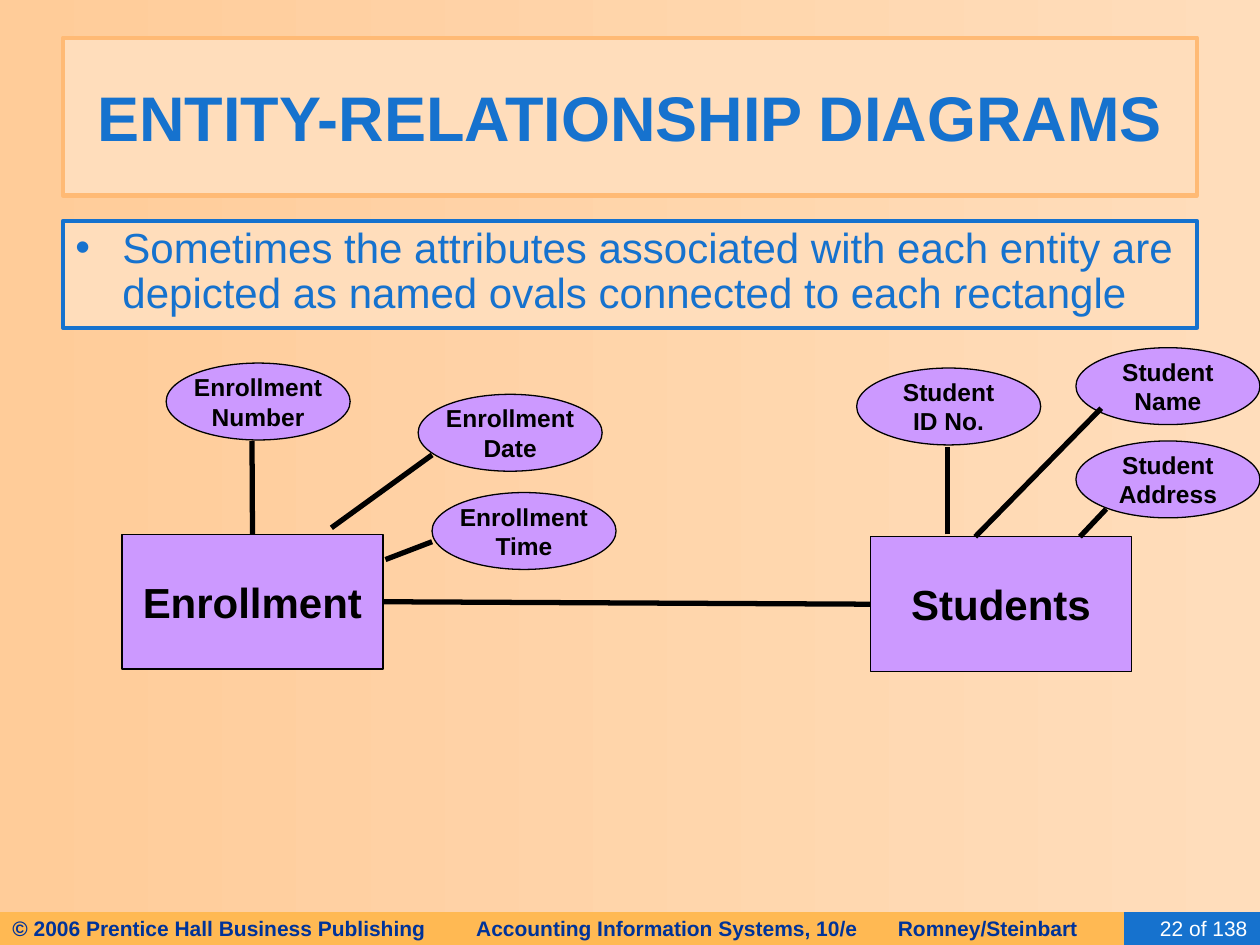
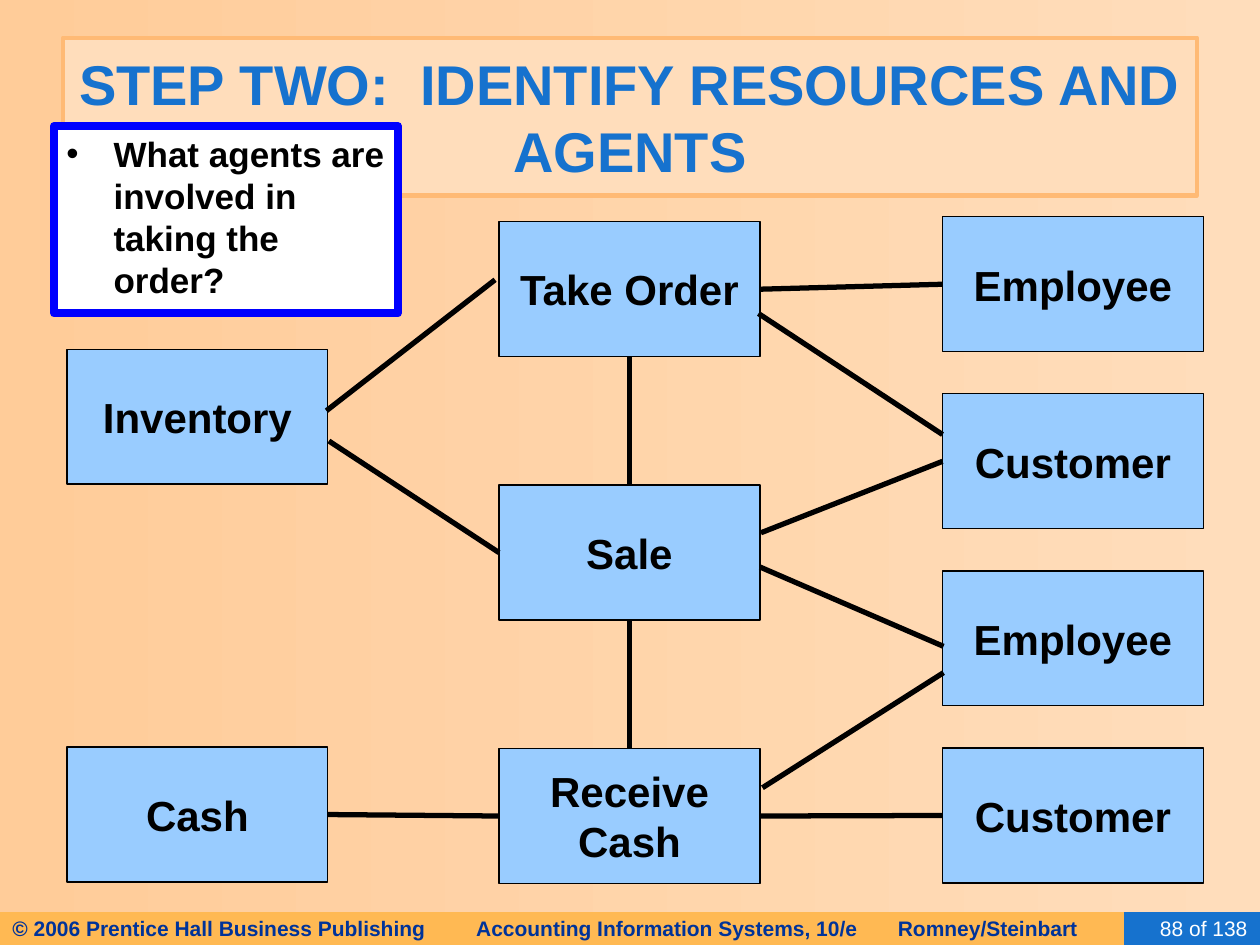
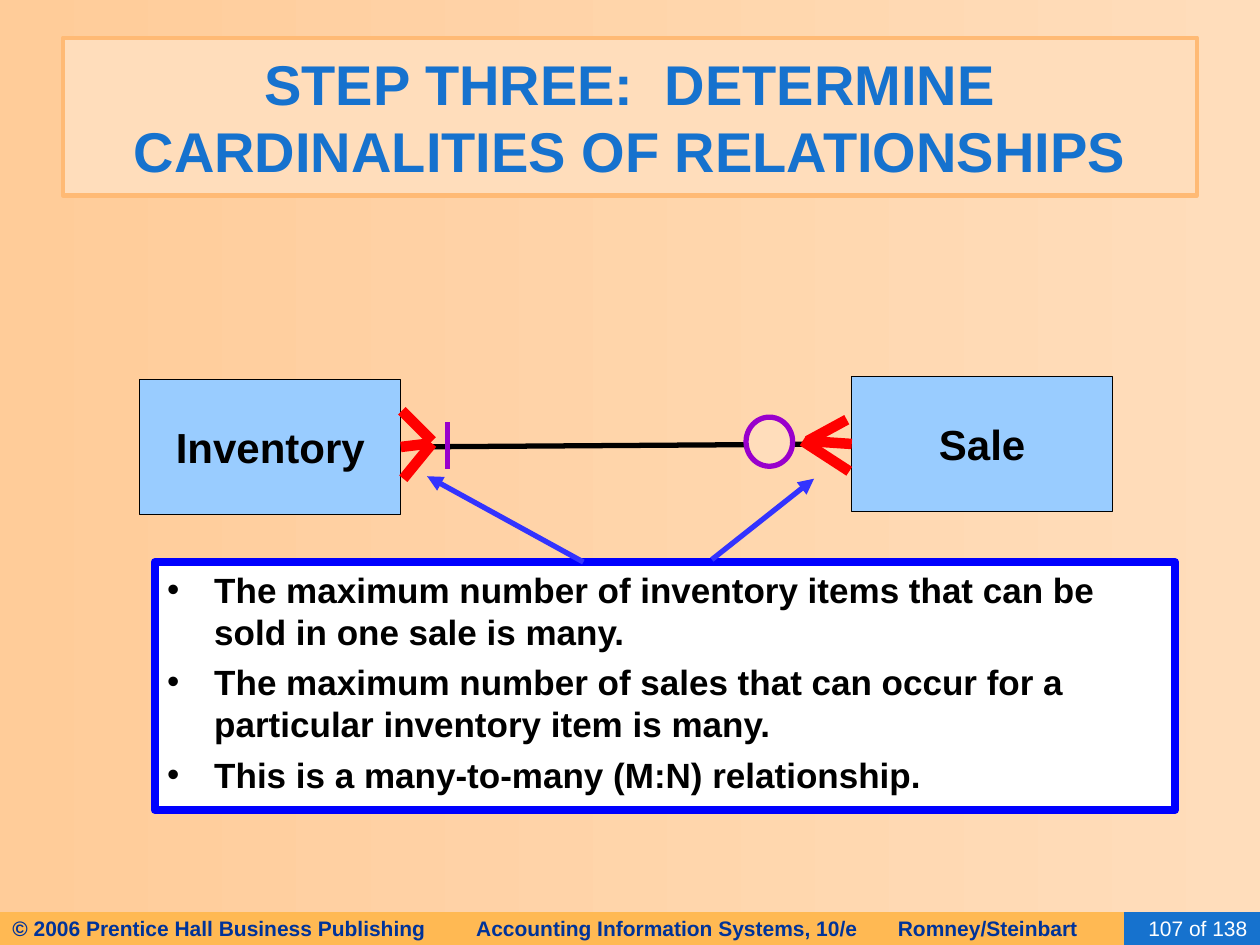
from dataclasses import dataclass
from typing import Optional, Union

from lxml import etree
from pptx import Presentation
from pptx.dml.color import RGBColor
from pptx.enum.shapes import MSO_CONNECTOR, MSO_SHAPE
from pptx.enum.text import MSO_ANCHOR, MSO_AUTO_SIZE, PP_ALIGN
from pptx.oxml.ns import qn
from pptx.shapes.autoshape import Shape
from pptx.slide import Slide
from pptx.util import Cm, Pt

RECTANGLE, OVAL = MSO_SHAPE.RECTANGLE, MSO_SHAPE.OVAL
STRAIGHT = MSO_CONNECTOR.STRAIGHT
LEFT, CENTER, RIGHT = PP_ALIGN.LEFT, PP_ALIGN.CENTER, PP_ALIGN.RIGHT
TOP, MIDDLE = MSO_ANCHOR.TOP, MSO_ANCHOR.MIDDLE
NO_AUTOFIT = MSO_AUTO_SIZE.NONE
SIDE_TOP, SIDE_LEFT, SIDE_BOTTOM, SIDE_RIGHT = range(4)
TITLE_ONLY = 5


@dataclass(frozen=True)
class Theme:
    font: str = "Arial"
    background: str = "FFDDBB"
    background_dark: str = "FFCC99"
    title_border: str = "FFBA75"
    accent: str = "1672CE"
    footer_band: str = "FFB953"
    footer_text: str = "003399"
    black: str = "000000"
    white: str = "FFFFFF"
    lilac: str = "CC99FF"
    sky: str = "99CCFF"
    note_border: str = "0000FF"
    minimum: str = "9900CC"
    maximum: str = "FF0000"
    pointer: str = "3333FF"
    title_large: int = 36
    title_small: int = 32
    body: int = 24
    entity: int = 24
    note: int = 20
    attribute: int = 14
    footer: int = 12


THEME = Theme()


@dataclass(frozen=True)
class Area:
    """A rectangle in centimetres."""
    left: float
    top: float
    width: float
    height: float


@dataclass(frozen=True)
class Point:
    x: float
    y: float


@dataclass(frozen=True)
class Joint:
    """The middle of one side of a rectangle."""
    shape: Shape
    side: int


End = Union[Point, Joint]


@dataclass(frozen=True)
class Line:
    start: End
    end: End
    colour: str = THEME.black
    width: float = 3
    arrow: bool = False


TITLE_AREA = Area(1.27, 0.76, 22.86, 3.18)
BODY_AREA = Area(1.27, 4.45, 22.86, 2.16)
FOOTER_AREA = Area(0, 18.39, 23.5, 0.66)
PAGE_AREA = Area(22.66, 18.39, 2.74, 0.66)
FOOTER_TEXT = ("© 2006 Prentice Hall Business Publishing\t"
               "Accounting Information Systems, 10/e\tRomney/Steinbart")
FOOTER_TABS = (9.35, 17.85)
PAGE_COUNT = 138
ENTITY_WIDTH, ENTITY_HEIGHT = 5.26, 2.72
ATTRIBUTE_WIDTH, ATTRIBUTE_HEIGHT = 3.71, 1.55
BULLET_INDENT = 0.95


def rgb(colour: str) -> RGBColor:
    return RGBColor.from_string(colour)


def add_bullet(properties, colour: str) -> None:
    properties.set("marL", str(Cm(BULLET_INDENT)))
    properties.set("indent", str(-Cm(BULLET_INDENT)))
    bullet_colour = etree.SubElement(properties, qn("a:buClr"))
    etree.SubElement(bullet_colour, qn("a:srgbClr"), val=colour)
    etree.SubElement(properties, qn("a:buFont"), typeface=THEME.font)
    etree.SubElement(properties, qn("a:buChar"), char="•")


def write_text(shape: Shape, text: str, *, size: int, colour: str = THEME.black,
               bold: bool = True, align: PP_ALIGN = CENTER, anchor: MSO_ANCHOR = MIDDLE,
               wrap: bool = True, bullet: bool = False, line_spacing: float = 1.0,
               space_before: float = 0, tabs: tuple[float, ...] = ()) -> None:
    """Fill a shape with text, one paragraph for each line of it."""
    frame = shape.text_frame
    frame.auto_size = NO_AUTOFIT
    frame.word_wrap = wrap
    frame.vertical_anchor = anchor
    for index, words in enumerate(text.split("\n")):
        paragraph = frame.add_paragraph() if index else frame.paragraphs[0]
        properties = paragraph._p.get_or_add_pPr()
        if bullet:
            add_bullet(properties, colour)
        if tabs:
            tab_list = etree.SubElement(properties, qn("a:tabLst"))
            for position in tabs:
                etree.SubElement(tab_list, qn("a:tab"), pos=str(Cm(position)), algn="l")
        paragraph.alignment = align
        paragraph.line_spacing = line_spacing
        paragraph.space_before = Pt(space_before if index else 0)
        run = paragraph.add_run()
        run.text = words
        run.font.name = THEME.font
        run.font.size = Pt(size)
        run.font.bold = bold
        run.font.color.rgb = rgb(colour)


def paint(shape: Shape, fill: str, border: Optional[str], border_width: float) -> None:
    shape.fill.solid()
    shape.fill.fore_color.rgb = rgb(fill)
    if border is None:
        shape.line.fill.background()
    else:
        shape.line.color.rgb = rgb(border)
        shape.line.width = Pt(border_width)


def add_box(slide: Slide, area: Area, fill: str, border: Optional[str] = None,
            border_width: float = 0.75, kind: MSO_SHAPE = RECTANGLE) -> Shape:
    shape = slide.shapes.add_shape(kind, Cm(area.left), Cm(area.top),
                                   Cm(area.width), Cm(area.height))
    shape.shadow.inherit = False
    paint(shape, fill, border, border_width)
    return shape


def add_entity(slide: Slide, name: str, left: float, top: float,
               fill: str = THEME.sky) -> Shape:
    area = Area(left, top, ENTITY_WIDTH, ENTITY_HEIGHT)
    shape = add_box(slide, area, fill, THEME.black)
    write_text(shape, name, size=THEME.entity, wrap=False)
    return shape


def add_attribute(slide: Slide, name: str, left: float, top: float) -> None:
    area = Area(left, top, ATTRIBUTE_WIDTH, ATTRIBUTE_HEIGHT)
    shape = add_box(slide, area, THEME.lilac, THEME.black, kind=OVAL)
    write_text(shape, name, size=THEME.attribute, wrap=False)


def add_note(slide: Slide, area: Area, text: str) -> None:
    shape = add_box(slide, area, THEME.white, THEME.note_border, 4.5)
    write_text(shape, text, size=THEME.note, align=LEFT, anchor=TOP,
               bullet=True, space_before=5)


def add_lines(slide: Slide, lines: list[Line]) -> None:
    for line in lines:
        begin, finish = (end if isinstance(end, Point) else Point(0, 0)
                         for end in (line.start, line.end))
        connector = slide.shapes.add_connector(
            STRAIGHT, Cm(begin.x), Cm(begin.y), Cm(finish.x), Cm(finish.y))
        if isinstance(line.start, Joint):
            connector.begin_connect(line.start.shape, line.start.side)
        if isinstance(line.end, Joint):
            connector.end_connect(line.end.shape, line.end.side)
        connector.line.color.rgb = rgb(line.colour)
        connector.line.width = Pt(line.width)
        properties = connector._element.spPr
        if line.arrow:
            etree.SubElement(properties.find(qn("a:ln")), qn("a:tailEnd"), type="triangle")
        etree.SubElement(properties, qn("a:effectLst"))


def set_background(presentation) -> None:
    fill = presentation.slide_master.background.fill
    fill.gradient()
    fill.gradient_angle = 180
    colours = (THEME.background, THEME.background_dark)
    for position, (stop, colour) in enumerate(zip(fill.gradient_stops, colours)):
        stop.position = position
        stop.color.rgb = rgb(colour)


def new_slide(presentation, title: str, title_size: int, page: int) -> Slide:
    """Add a slide with its footer band, page number and framed title."""
    slide = presentation.slides.add_slide(presentation.slide_layouts[TITLE_ONLY])
    footer = add_box(slide, FOOTER_AREA, THEME.footer_band)
    write_text(footer, FOOTER_TEXT, size=THEME.footer, colour=THEME.footer_text,
               align=LEFT, tabs=FOOTER_TABS)
    page_box = add_box(slide, PAGE_AREA, THEME.accent)
    write_text(page_box, f"{page} of {PAGE_COUNT}", size=THEME.footer,
               colour=THEME.white, bold=False, align=RIGHT)
    heading = slide.shapes.title
    heading.left, heading.top = Cm(TITLE_AREA.left), Cm(TITLE_AREA.top)
    heading.width, heading.height = Cm(TITLE_AREA.width), Cm(TITLE_AREA.height)
    paint(heading, THEME.background, THEME.title_border, 2.5)
    write_text(heading, title, size=title_size, colour=THEME.accent)
    return slide


def build_attributes_slide(presentation) -> None:
    slide = new_slide(presentation, "ENTITY-RELATIONSHIP DIAGRAMS", THEME.title_large, 22)
    body = add_box(slide, BODY_AREA, THEME.background, THEME.accent, 2.25)
    write_text(body, "Sometimes the attributes associated with each entity are "
               "depicted as named ovals connected to each rectangle",
               size=THEME.body, colour=THEME.accent, bold=False, align=LEFT,
               anchor=TOP, bullet=True, line_spacing=0.9)
    enrollment = add_entity(slide, "Enrollment", 2.46, 10.77, THEME.lilac)
    students = add_entity(slide, "Students", 17.55, 10.82, THEME.lilac)
    for name, left, top in (
        ("Enrollment\nNumber", 3.35, 7.32),
        ("Enrollment\nDate", 8.43, 7.95),
        ("Enrollment\nTime", 8.71, 9.93),
        ("Student\nID No.", 17.27, 7.42),
        ("Student\nName", 21.69, 7.01),
    ):
        add_attribute(slide, name, left, top)
    add_lines(slide, [
        Line(Joint(enrollment, SIDE_RIGHT), Joint(students, SIDE_LEFT)),
        Line(Joint(enrollment, SIDE_TOP), Point(5.08, 8.89)),
        Line(Point(6.68, 10.64), Point(8.71, 9.17)),
        Line(Point(7.77, 11.28), Point(8.71, 10.92)),
        Line(Point(19.1, 10.77), Point(19.1, 9.02)),
        Line(Point(19.66, 10.82), Point(22.2, 8.23)),
        Line(Point(21.77, 10.82), Point(22.3, 10.26)),
    ])
    add_attribute(slide, "Student\nAddress", 21.69, 8.89)


def build_agents_slide(presentation) -> None:
    slide = new_slide(presentation, "STEP TWO:  IDENTIFY RESOURCES AND AGENTS",
                      THEME.title_small, 88)
    resource_left, event_left, agent_left = 1.35, 10.06, 19
    event_top, event_step = 4.47, 5.31
    agent_top, agent_step = 4.37, 3.57
    take_order, sale, receive_cash = (
        add_entity(slide, name, event_left, event_top + row * event_step)
        for row, name in enumerate(("Take Order", "Sale", "Receive\nCash")))
    order_employee, sale_customer, _, cash_customer = (
        add_entity(slide, name, agent_left, agent_top + row * agent_step)
        for row, name in enumerate(("Employee", "Customer") * 2))
    add_entity(slide, "Inventory", resource_left, 7.04)
    cash = add_entity(slide, "Cash", resource_left, 15.06)
    add_note(slide, Area(1.09, 2.54, 6.93, 3.78),
             "What agents are involved in taking the order?")
    add_lines(slide, [
        Line(Joint(take_order, SIDE_BOTTOM), Joint(sale, SIDE_TOP)),
        Line(Joint(sale, SIDE_BOTTOM), Joint(receive_cash, SIDE_TOP)),
        Line(Joint(cash, SIDE_RIGHT), Joint(receive_cash, SIDE_LEFT)),
        Line(Joint(take_order, SIDE_RIGHT), Joint(order_employee, SIDE_LEFT)),
        Line(Joint(receive_cash, SIDE_RIGHT), Joint(cash_customer, SIDE_LEFT)),
        Line(Point(6.63, 8.89), Joint(sale, SIDE_LEFT)),
        Line(Point(6.58, 8.28), Point(9.98, 5.64)),
        Line(Point(15.29, 6.32), Point(19, 8.76)),
        Line(Point(15.34, 10.74), Joint(sale_customer, SIDE_LEFT)),
        Line(Point(15.32, 11.43), Point(19.02, 13.03)),
        Line(Point(15.37, 15.88), Point(19.02, 13.56)),
    ])


def build_cardinalities_slide(presentation) -> None:
    slide = new_slide(presentation,
                      "STEP THREE:  DETERMINE CARDINALITIES OF RELATIONSHIPS",
                      THEME.title_small, 107)
    inventory = add_entity(slide, "Inventory", 2.82, 7.65)
    sale = add_entity(slide, "Sale", 17.17, 7.59)
    inventory_side, sale_side = Joint(inventory, SIDE_RIGHT), Joint(sale, SIDE_LEFT)
    add_lines(slide, [
        Line(inventory_side, sale_side),
        Line(Point(9.02, 8.51), Point(9.02, 9.45), THEME.minimum),
    ])
    add_note(slide, Area(3.12, 11.33, 20.57, 5),
             "The maximum number of inventory items that can be sold in one sale is many.\n"
             "The maximum number of sales that can occur for a particular inventory item "
             "is many.\n"
             "This is a many-to-many (M:N) relationship.")
    add_box(slide, Area(15.04, 8.41, 0.94, 0.99), THEME.background, THEME.minimum, 3, OVAL)
    crow_feet = (
        (Point(8.71, 8.89), Point(8.1, 8.28)),
        (inventory_side, Point(8.66, 8.94)),
        (Point(8.71, 8.94), Point(8.13, 9.65)),
        (Point(16.28, 8.89), Point(17.07, 8.46)),
        (sale_side, Point(16.28, 8.89)),
        (Point(16.18, 8.89), Point(17.12, 9.5)),
    )
    pointers = (
        (Point(11.76, 11.33), Point(8.61, 9.6)),
        (Point(14.35, 11.28), Point(16.41, 9.65)),
    )
    add_lines(slide, [Line(start, end, THEME.maximum, 6) for start, end in crow_feet])
    add_lines(slide, [Line(start, end, THEME.pointer, arrow=True) for start, end in pointers])


def main() -> None:
    presentation = Presentation()
    presentation.slide_width, presentation.slide_height = Cm(25.4), Cm(19.05)
    set_background(presentation)
    build_attributes_slide(presentation)
    build_agents_slide(presentation)
    build_cardinalities_slide(presentation)
    presentation.save("out.pptx")


if __name__ == "__main__":
    main()
